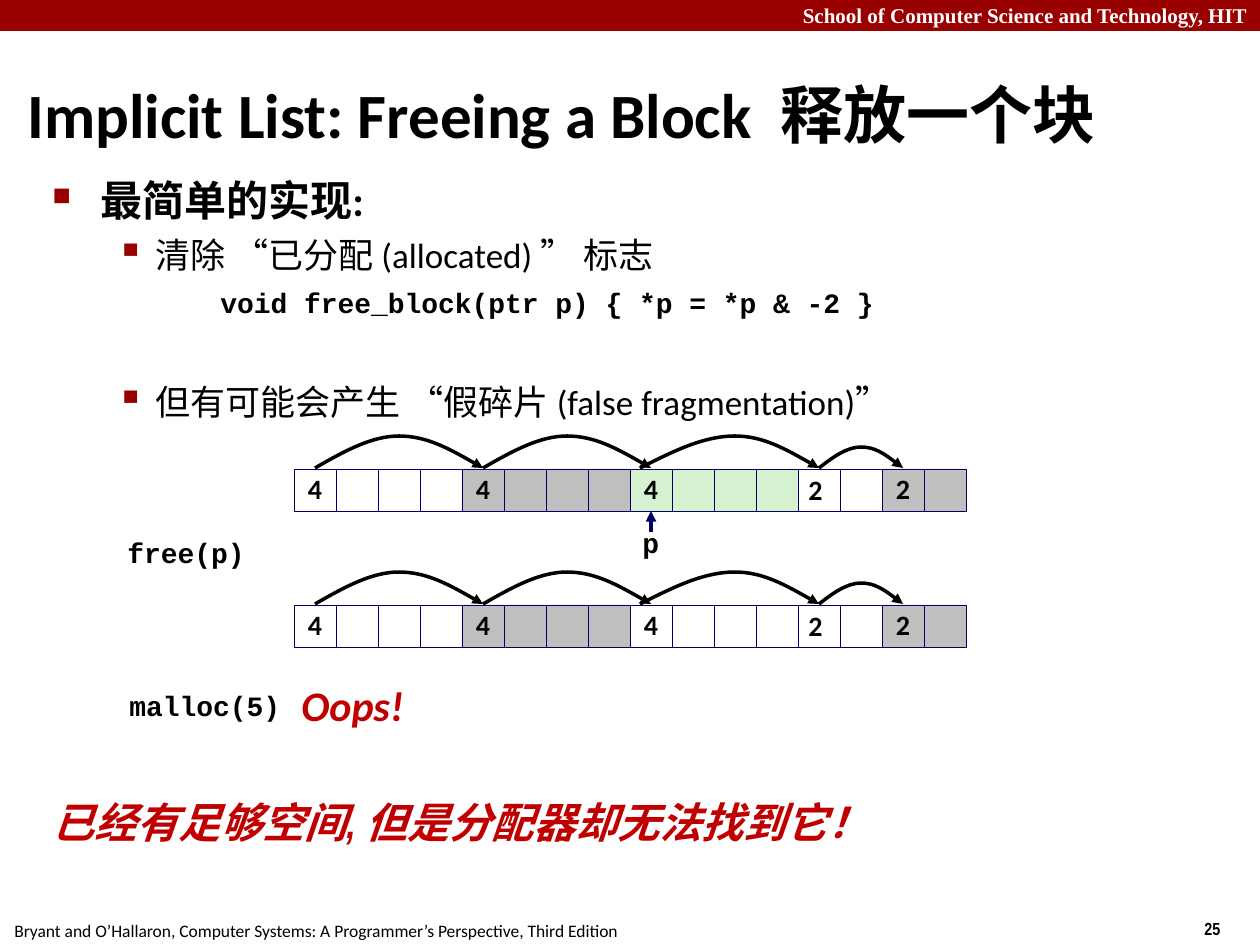
import dataclasses
import typing

import lxml.etree
import pptx
import pptx.dml.color
import pptx.enum.shapes
import pptx.enum.text
import pptx.oxml
import pptx.oxml.ns
import pptx.util

SCALE = 914400 / 126
CELL = 42
ROW_LEFT = 294
ALIGN = pptx.enum.text.PP_ALIGN
COLORS = {
    "black": "000000", "white": "FFFFFF", "bar": "990000", "alert": "C00000",
    "navy": "000066", "allocated": "BFBFBF", "tail": "C0C0C0", "freed": "D5F1CF",
}


@dataclasses.dataclass
class Style:
    size: int
    font: str = "Calibri"
    color: str = "black"
    bold: bool = False
    italic: bool = False


@dataclasses.dataclass
class Label:
    text: str
    left: int
    top: int
    width: int
    height: int
    style: Style
    wrap: bool = False
    align: typing.Any = ALIGN.LEFT
    spacing: float = 1.0


@dataclasses.dataclass
class Bullet:
    text: str
    style: Style
    margin: int
    hang: int
    before: int
    mark: str = ""
    mark_size: int = 100


@dataclasses.dataclass
class Block:
    cells: int
    fill: str
    label: str


@dataclasses.dataclass
class Arc:
    start: int
    apex: int
    end: int
    rise: int


CODE = Style(16, "Courier New", bold=True)
COUNT = Style(16, bold=True)
SMALL = Style(10)
ITEM = Style(20)

BULLETS = [
    Bullet("最简单的实现:", Style(24, bold=True), 48, 48, 6, "■", 60),
    Bullet("清除 “已分配 (allocated) ” 标志", ITEM, 103, 39, 5, "▪", 110),
    Bullet("void free_block(ptr p) { *p = *p & -2 }", CODE, 168, 0, 6),
    Bullet("但有可能会产生 “假碎片 (false fragmentation)”", ITEM, 103, 39, 35, "▪", 110),
]
ARCS = [
    Arc(315, 399, 483, 32),
    Arc(483, 567, 651, 32),
    Arc(640, 735, 819, 32),
    Arc(819, 861, 903, 21),
]
LABELS = [
    Label("25", 1192, 912, 68, 34, Style(10, "Arial Narrow", bold=True)),
    Label("Bryant and O’Hallaron, Computer Systems: A Programmer’s Perspective, Third Edition",
          2, 914, 640, 34, SMALL),
    Label("School of Computer Science and Technology, HIT", 0, -4, 1260, 38,
          Style(12, "Times New Roman", "white", True), True, ALIGN.RIGHT),
    Label("free(p)", 115, 532, 160, 44, CODE, spacing=0.94),
    Label("p", 630, 522, 46, 44, CODE, spacing=0.94),
    Label("malloc(5)", 117, 685, 190, 44, CODE, spacing=0.94),
    Label("Oops!", 289, 672, 150, 64, Style(24, color="alert", bold=True, italic=True),
          spacing=1.02),
    Label("已经有足够空间, 但是分配器却无法找到它！", 40, 790, 1133, 113,
          Style(24, "Arial Narrow", "alert", True, True), True),
]


def px(length: float) -> int:
    return round(length * SCALE)


def rgb(name: str):
    return pptx.dml.color.RGBColor.from_string(COLORS[name])


def add_span(para, text: str, style: Style) -> None:
    span = para.add_run()
    span.text = text
    span.font.name = style.font
    span.font.size = pptx.util.Pt(style.size)
    span.font.bold = style.bold
    span.font.italic = style.italic
    span.font.color.rgb = rgb(style.color)


def add_label(slide, label: Label) -> None:
    box = slide.shapes.add_textbox(px(label.left), px(label.top), px(label.width), px(label.height))
    frame = box.text_frame
    frame.word_wrap = label.wrap
    frame.auto_size = pptx.enum.text.MSO_AUTO_SIZE.SHAPE_TO_FIT_TEXT
    para = frame.paragraphs[0]
    para.alignment = label.align
    para.line_spacing = label.spacing
    add_span(para, label.text, label.style)


def add_rectangle(slide, left: int, top: int, width: int, height: int, fill: str):
    box = slide.shapes.add_shape(pptx.enum.shapes.MSO_SHAPE.RECTANGLE,
                                 px(left), px(top), px(width), px(height))
    box.shadow.inherit = False
    box.fill.solid()
    box.fill.fore_color.rgb = rgb(fill)
    box.line.fill.background()
    return box


def add_arrow_line(shape, color: str) -> None:
    shape.line.color.rgb = rgb(color)
    shape.line.width = pptx.util.Pt(2)
    head = lxml.etree.SubElement(shape.line._get_or_add_ln(), pptx.oxml.ns.qn("a:tailEnd"))
    head.set("type", "triangle")


def add_arc(slide, arc: Arc, base: int) -> None:
    top = base - arc.rise
    builder = slide.shapes.build_freeform(arc.start, base, scale=SCALE)
    builder.add_line_segments([(arc.apex, top), (arc.end, base)], close=False)
    curve = builder.convert_to_shape()
    curve.shadow.inherit = False
    curve.fill.background()
    add_arrow_line(curve, "black")
    outline = next(curve._element.iter(pptx.oxml.ns.qn("a:path")))
    for segment in outline.findall(pptx.oxml.ns.qn("a:lnTo")):
        outline.remove(segment)
    width, height = int(outline.get("w")), int(outline.get("h"))
    peak = width * (arc.apex - arc.start) / (arc.end - arc.start)
    rest = width - peak
    halves = [
        [(peak / 3, height / 2), (peak * 2 / 3, 0), (peak, 0)],
        [(peak + rest / 3, 0), (peak + rest * 2 / 3, height / 2), (width, height)],
    ]
    for half in halves:
        bezier = lxml.etree.SubElement(outline, pptx.oxml.ns.qn("a:cubicBezTo"))
        for x, y in half:
            lxml.etree.SubElement(bezier, pptx.oxml.ns.qn("a:pt"), x=str(round(x)), y=str(round(y)))


def add_heap(slide, top: int, third_fill: str) -> list:
    blocks = [Block(4, "white", "4"), Block(4, "allocated", "4"), Block(4, third_fill, "4"),
              Block(2, "white", ""), Block(2, "tail", "2")]
    cells = []
    for block in blocks:
        for index in range(block.cells):
            cell = add_rectangle(slide, ROW_LEFT + len(cells) * CELL, top, CELL, CELL, block.fill)
            cell.line.color.rgb = rgb("navy")
            cell.line.width = pptx.util.Pt(0.25)
            cells.append(cell)
            if index == 0 and block.label:
                cell.text_frame.word_wrap = False
                para = cell.text_frame.paragraphs[0]
                para.alignment = ALIGN.CENTER
                para.line_spacing = 0.98
                add_span(para, block.label, COUNT)
    add_label(slide, Label("2", 796, top - 1, 42, 45, COUNT, spacing=0.98))
    for arc in ARCS:
        add_arc(slide, arc, top - 1)
    return cells


def add_pointer(slide, cell) -> None:
    arrow = slide.shapes.add_connector(pptx.enum.shapes.MSO_CONNECTOR.STRAIGHT,
                                       px(651), px(532), px(651), px(511))
    arrow.end_connect(cell, 2)
    add_arrow_line(arrow, "navy")
    lxml.etree.SubElement(arrow._element.spPr, pptx.oxml.ns.qn("a:effectLst"))


def add_bullets(slide) -> None:
    box = slide.shapes.add_textbox(px(40), px(168), px(1145), px(598))
    frame = box.text_frame
    frame.word_wrap = True
    for index, bullet in enumerate(BULLETS):
        para = frame.add_paragraph() if index else frame.paragraphs[0]
        para.space_before = pptx.util.Pt(bullet.before)
        properties = para._p.get_or_add_pPr()
        properties.set("marL", str(px(bullet.margin)))
        properties.set("indent", str(px(-bullet.hang)))
        if bullet.mark:
            color = lxml.etree.SubElement(properties, pptx.oxml.ns.qn("a:buClr"))
            lxml.etree.SubElement(color, pptx.oxml.ns.qn("a:srgbClr"), val=COLORS["bar"])
            lxml.etree.SubElement(properties, pptx.oxml.ns.qn("a:buSzPct"),
                                  val=str(bullet.mark_size * 1000))
            lxml.etree.SubElement(properties, pptx.oxml.ns.qn("a:buChar"), char=bullet.mark)
        add_span(para, bullet.text, bullet.style)


def add_title(slide) -> None:
    title = slide.shapes.title
    title.left, title.top, title.width, title.height = px(15), px(74), px(1223), px(79)
    frame = title.text_frame
    frame.auto_size = pptx.enum.text.MSO_AUTO_SIZE.NONE
    frame.vertical_anchor = pptx.enum.text.MSO_ANCHOR.MIDDLE
    para = frame.paragraphs[0]
    para.alignment = ALIGN.LEFT
    add_span(para, "Implicit List: Freeing a Block  释放一个块", Style(36, bold=True))


def main() -> None:
    deck = pptx.Presentation()
    deck.slide_width, deck.slide_height = px(1260), px(945)
    page = deck.slides.add_slide(deck.slide_layouts[5])
    add_rectangle(page, 0, 0, 1260, 31, "bar")
    add_title(page)
    add_bullets(page)
    cells = add_heap(page, 469, "freed")
    add_pointer(page, cells[8])
    add_heap(page, 605, "white")
    for label in LABELS:
        add_label(page, label)
    deck.save("out.pptx")


if __name__ == "__main__":
    main()
